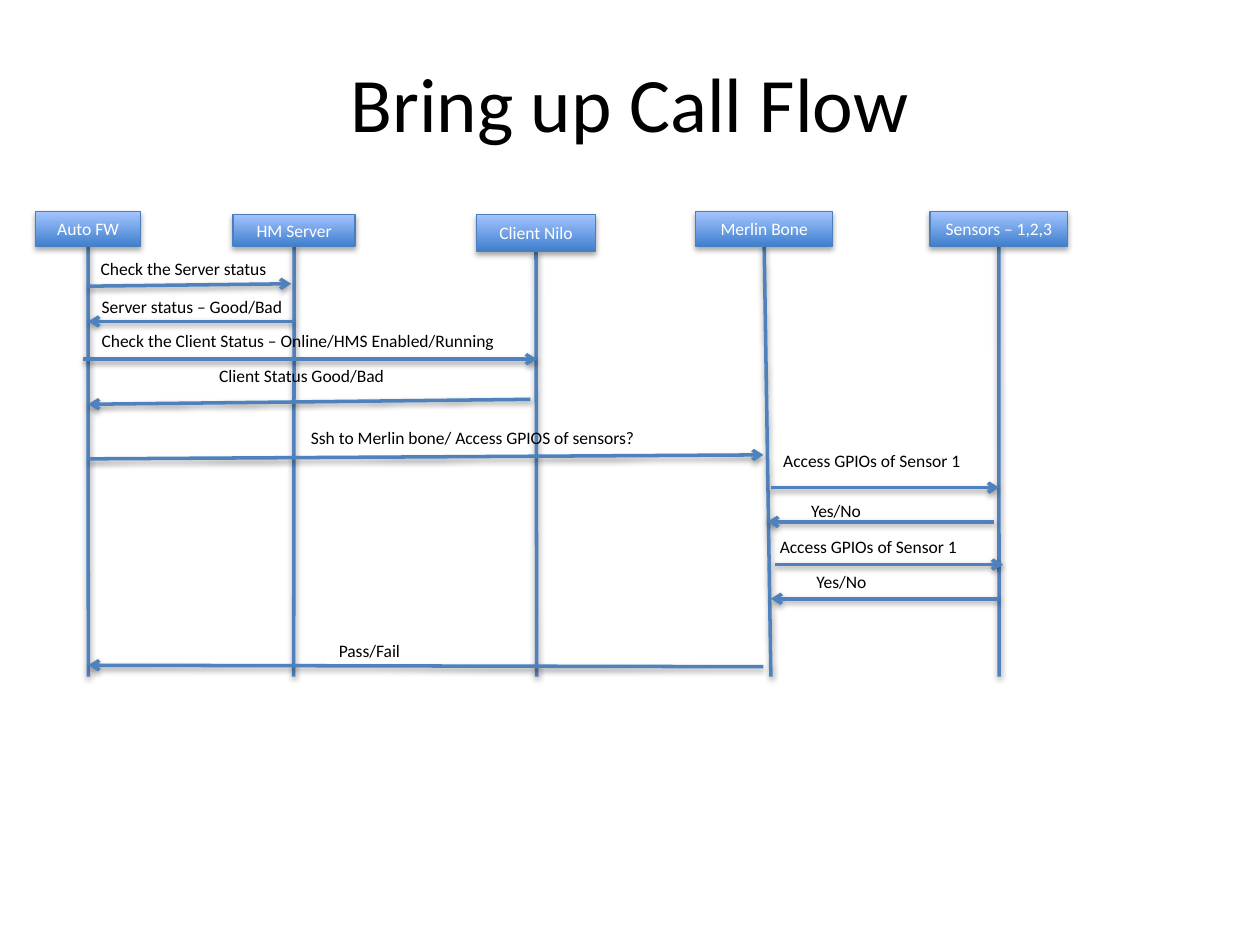
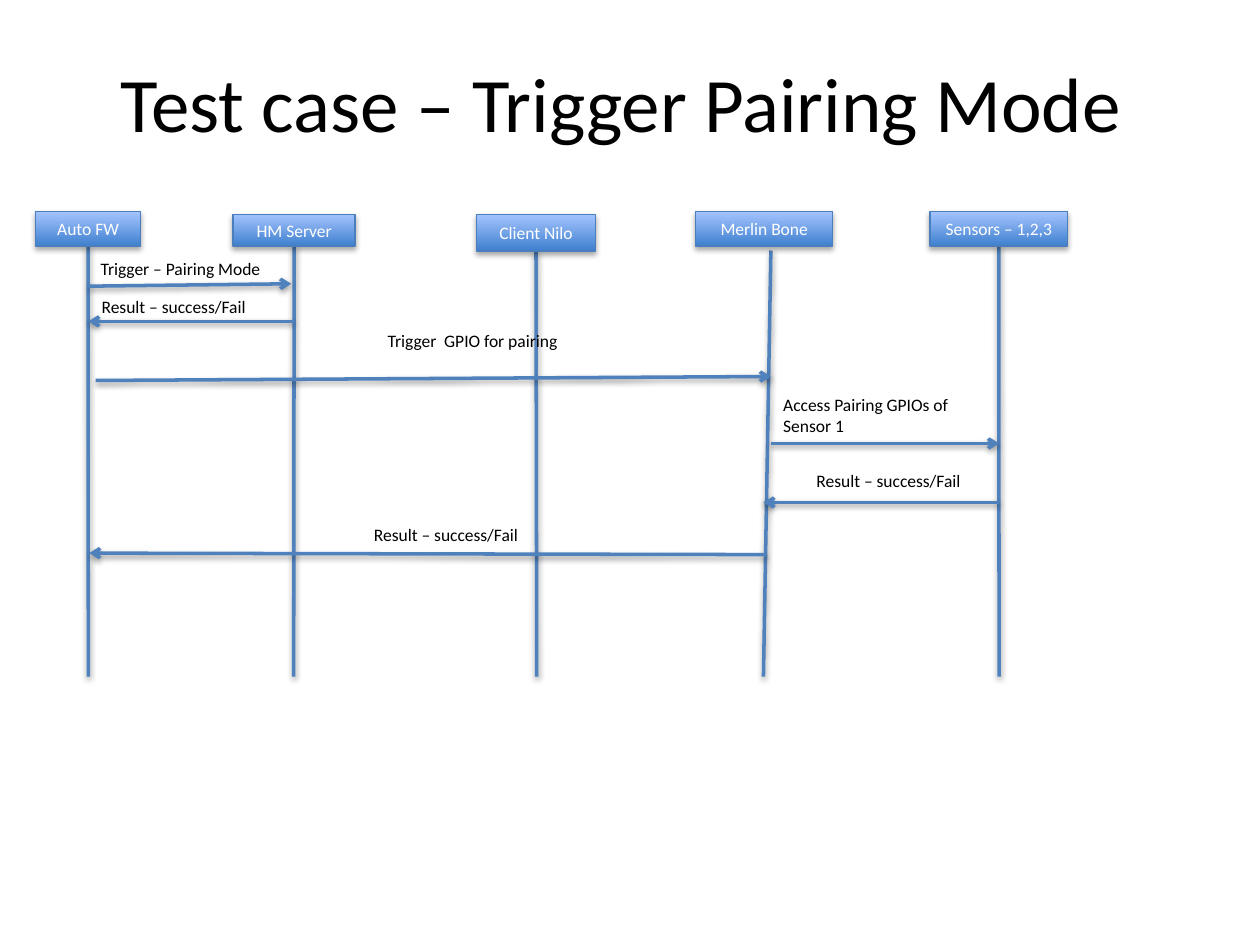
from dataclasses import dataclass, field
from typing import NamedTuple

from lxml.etree import SubElement
from pptx import Presentation
from pptx.dml.color import RGBColor as Rgb
from pptx.enum.shapes import MSO_CONNECTOR as Link, MSO_SHAPE as Form
from pptx.enum.text import MSO_ANCHOR as Anchor, PP_ALIGN as Align
from pptx.oxml.ns import qn
from pptx.shapes.autoshape import Shape
from pptx.shapes.connector import Connector
from pptx.slide import Slide
from pptx.util import Cm, Pt


@dataclass(frozen=True)
class Theme:
    face: str = "Calibri"
    ink: Rgb = Rgb(0, 0, 0)
    pale: Rgb = Rgb(255, 255, 255)
    wire: Rgb = Rgb.from_string("4F81BD")
    edge: Rgb = Rgb.from_string("4B7EBC")
    fade: tuple[Rgb, Rgb] = (Rgb.from_string("3F80CE"), Rgb.from_string("A4C4FF"))
    head: dict = field(default_factory=lambda: {"name": "Calibri", "size": Pt(44)})
    body: dict = field(default_factory=lambda: {"name": "Calibri", "size": Pt(10)})
    stroke: Pt = Pt(2)
    rim: Pt = Pt(0.75)


class Actor(NamedTuple):
    name: str
    left: float
    top: float
    width: float
    height: float
    foot: float


class Wire(NamedTuple):
    x1: float
    y1: float
    x2: float
    y2: float


class Label(NamedTuple):
    text: str
    left: float
    top: float
    width: float
    height: float = 0.69
    align: Align = Align.LEFT


class Flow(NamedTuple):
    title: str
    wires: list[Wire]
    labels: list[Label]
    loose: dict[str, Wire]


THEME = Theme()
FLOOR = 13.64

ACTORS = [
    Actor("Auto FW", 0.71, 4.27, 2.13, 0.69, 1.78),
    Actor("HM Server", 4.7, 4.32, 2.46, 0.64, 5.92),
    Actor("Client Nilo", 9.6, 4.32, 2.41, 0.74, 10.82),
    Actor("Merlin Bone", 14.02, 4.27, 2.77, 0.69, 15.54),
    Actor("Sensors – 1,2,3", 18.75, 4.27, 2.77, 0.69, 20.14),
]

HELLO = [Wire(1.78, 5.77, 5.87, 5.72), Wire(5.92, 6.48, 1.78, 6.48)]

FLOWS = [
    Flow(
        "Bring up Call Flow",
        HELLO + [
            Wire(1.68, 7.24, 10.82, 7.24),
            Wire(10.69, 8.05, 1.78, 8.15),
            Wire(1.78, 9.25, 15.39, 9.17),
            Wire(15.54, 9.83, 20.14, 9.83),
            Wire(20.04, 10.52, 15.47, 10.52),
            Wire(15.62, 11.38, 20.22, 11.38),
            Wire(20.14, 12.07, 15.54, 12.07),
            Wire(15.39, 13.44, 1.78, 13.41),
        ],
        [
            Label("Check the Server status", 1.78, 5.08, 4.14),
            Label("Server status – Good/Bad", 1.8, 5.84, 4.78),
            Label("Check the Client Status – Online/HMS Enabled/Running", 1.8, 6.53, 8.89),
            Label("Client Status Good/Bad", 4.17, 7.24, 3.94),
            Label("Ssh to Merlin bone/ Access GPIOS of sensors?", 4.7, 8.48, 9.65, 1.12, Align.CENTER),
            Label("Access GPIOs of Sensor 1", 15.54, 8.94, 4.8),
            Label("Yes/No", 16.1, 9.96, 3.61),
            Label("Access GPIOs of Sensor 1", 15.47, 10.69, 4.8),
            Label("Yes/No", 16.21, 11.38, 3.61),
            Label("Pass/Fail", 6.58, 12.78, 4.11),
        ],
        {},
    ),
    Flow(
        "Test case – Trigger Pairing Mode ",
        HELLO + [
            Wire(1.93, 7.67, 15.54, 7.59),
            Wire(15.54, 8.94, 20.14, 8.94),
            Wire(20.14, 10.13, 15.39, 10.13),
            Wire(15.44, 11.18, 1.8, 11.15),
        ],
        [
            Label("Trigger – Pairing Mode", 1.78, 5.08, 4.14),
            Label("Result – success/Fail", 1.8, 5.84, 4.78),
            Label("Trigger  GPIO for pairing", 4.7, 6.53, 9.65, 1.12, Align.CENTER),
            Label("Access Pairing GPIOs of Sensor 1", 15.54, 7.82, 4.8, 1.12),
            Label("Result – success/Fail", 7.29, 10.44, 3.53),
            Label("Result – success/Fail", 16.21, 9.35, 3.53),
        ],
        {"Merlin Bone": Wire(15.54, 5.05, 15.39, FLOOR)},
    ),
]


def shade(item: Shape | Connector, dist: int, alpha: int) -> None:
    glow = SubElement(item._element.spPr, qn("a:effectLst"))
    cast = SubElement(glow, qn("a:outerShdw"), blurRad="40000", dist=str(dist),
                      dir="5400000", rotWithShape="0")
    tint = SubElement(cast, qn("a:srgbClr"), val=str(THEME.ink))
    SubElement(tint, qn("a:alpha"), val=str(alpha * 1000))


def write(shape: Shape, text: str, font: dict, ink: Rgb, align: Align, anchor: Anchor) -> None:
    frame = shape.text_frame
    for key, value in {"word_wrap": True, "vertical_anchor": anchor}.items():
        setattr(frame, key, value)
    para = frame.paragraphs[0]
    para.alignment = align
    run = para.add_run()
    run.text = text
    for key, value in font.items():
        setattr(run.font, key, value)
    run.font.color.rgb = ink


def draw_wire(slide: Slide, wire: Wire, arrow: bool) -> Connector:
    line = slide.shapes.add_connector(Link.STRAIGHT, *map(Cm, wire))
    line.line.width = THEME.stroke
    line.line.color.rgb = THEME.wire
    if arrow:
        SubElement(line.line._get_or_add_ln(), qn("a:tailEnd"), type="arrow")
    shade(line, 20000, 38)
    return line


def draw_actor(slide: Slide, actor: Actor) -> Shape:
    box = slide.shapes.add_shape(Form.RECTANGLE, *map(Cm, actor[1:5]))
    box.fill.gradient()
    box.fill.gradient_angle = 90
    for stop, tone, place in zip(box.fill.gradient_stops, THEME.fade, (0, 1)):
        stop.color.rgb = tone
        stop.position = place
    box.line.color.rgb = THEME.edge
    box.line.width = THEME.rim
    shade(box, 23000, 35)
    write(box, actor.name, THEME.body, THEME.pale, Align.CENTER, Anchor.MIDDLE)
    return box


def draw_label(slide: Slide, label: Label, font: dict, anchor: Anchor) -> None:
    box = slide.shapes.add_textbox(*map(Cm, label[1:5]))
    write(box, label.text, font, THEME.ink, label.align, anchor)


def draw_lanes(slide: Slide, loose: dict[str, Wire]) -> None:
    lanes = []
    for actor in ACTORS:
        mid = actor.left + actor.width / 2
        base = Wire(mid, actor.top + actor.height, actor.foot, FLOOR)
        lanes.append(draw_wire(slide, loose.get(actor.name, base), False))
    for actor, lane in zip(ACTORS, lanes):
        box = draw_actor(slide, actor)
        if actor.name not in loose:
            lane.begin_connect(box, 2)


def draw_flow(slide: Slide, flow: Flow) -> None:
    title = Label(flow.title, 1.27, 0.46, 22.86, 3.18, Align.CENTER)
    draw_label(slide, title, THEME.head, Anchor.MIDDLE)
    draw_lanes(slide, flow.loose)
    for wire in flow.wires:
        draw_wire(slide, wire, True)
    for label in flow.labels:
        draw_label(slide, label, THEME.body, Anchor.TOP)


def main() -> None:
    deck = Presentation()
    for key, value in {"slide_width": Cm(25.4), "slide_height": Cm(19.05)}.items():
        setattr(deck, key, value)
    for flow in FLOWS:
        draw_flow(deck.slides.add_slide(deck.slide_layouts[6]), flow)
    deck.save("out.pptx")


if __name__ == "__main__":
    main()
